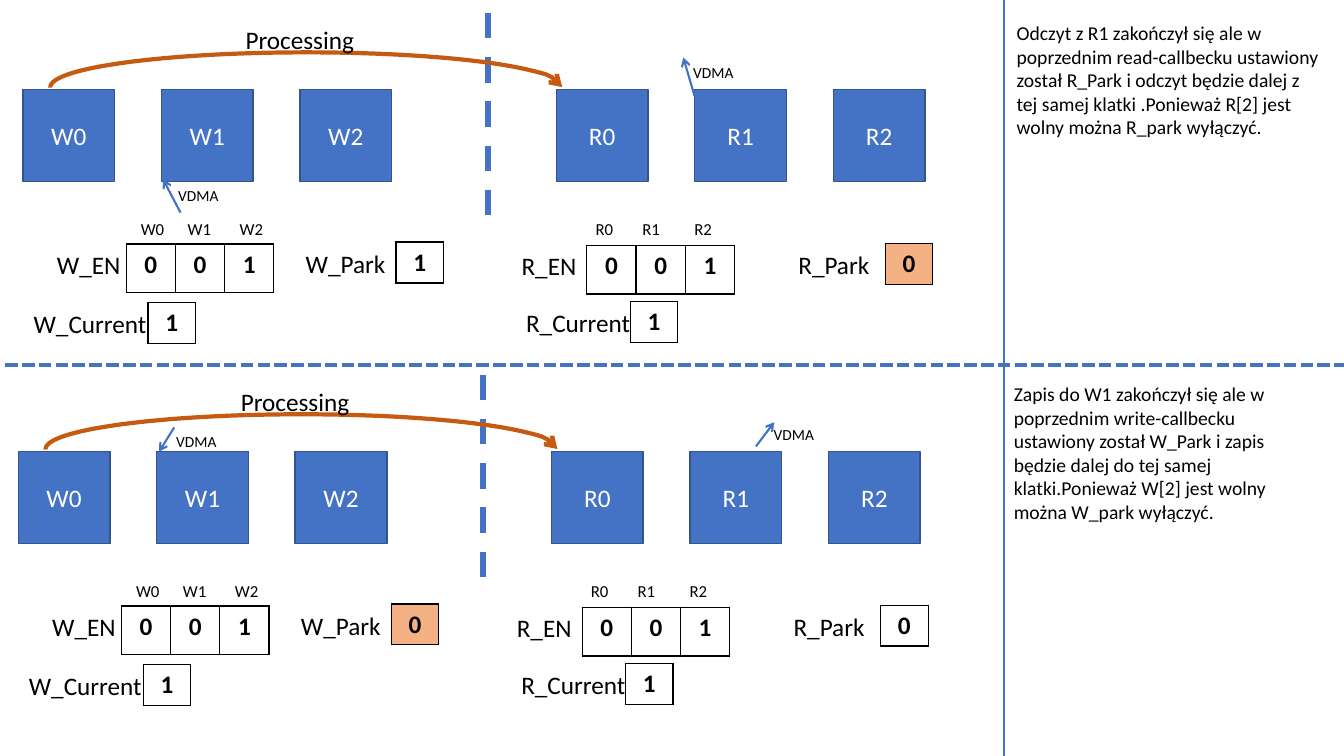
from pptx import Presentation, util as u
from pptx.dml import color
from pptx.enum import dml, shapes, text
from pptx.oxml import ns
from lxml import etree

Cm, Pt = u.Cm, u.Pt
COLORS = {"blue": "4472C4", "edge": "325491", "brown": "C55A11",
          "orange": "F4B183", "white": "FFFFFF", "black": "000000"}

# Content: buffers as (name, left of first square, left of first bit label)
SIDES = [("W", 0.58, 3.3), ("R", 14.02, 14.76)]
BIT_OFFSETS = (0, 1.18, 2.49)
# Registers: name, label left, top and width, cell left and top
REGISTERS = [
    ("W_EN", 1.17, 6.15, 2.13, 3.18, 6.15),
    ("R_EN", 12.88, 6.18, 1.91, 14.79, 6.18),
    ("W_Park", 7.44, 6.13, 2.54, 9.98, 6.1),
    ("R_Park", 19.86, 6.15, 2.31, 22.31, 6.13),
    ("W_Current", 0.58, 7.65, 3.38, 3.73, 7.62),
    ("R_Current", 12.98, 7.62, 3.18, 15.88, 7.6),
]
VALUES = {"W_EN": "001", "R_EN": "001", "W_Current": "1", "R_Current": "1"}
# VDMA marks: arrow start, arrow tip, label corner
PANELS = [
    {"shift": (0, 0), "parks": {"W_Park": "1", "R_Park": "0"}, "changed": "R_Park",
     "vdma": [((4.55, 5.36), (4.11, 4.52), (4.24, 4.57)),
              ((17.5, 2.41), (17.22, 1.45), (17.22, 1.47))],
     "note": ("Odczyt z R1 zakończył się ale w poprzednim read-callbecku ustawiony "
              "został R_Park i odczyt będzie dalej z tej samej klatki .Ponieważ R[2] "
              "jest wolny można R_park wyłączyć."),
     "note_box": (25.37, 0.41, 8.15, 3.25)},
    {"shift": (-0.12, 9.12), "parks": {"W_Park": "0", "R_Park": "0"}, "changed": "W_Park",
     "vdma": [((4.39, 10.77), (4.01, 11.38), (4.19, 10.77)),
              ((19.05, 11.25), (19.51, 10.64), (19.25, 10.59))],
     "note": ("Zapis do W1 zakończył się ale w poprzednim write-callbecku ustawiony "
              "został W_Park i zapis będzie dalej do tej samej klatki.Ponieważ W[2] "
              "jest wolny można W_park wyłączyć."),
     "note_box": (25.3, 9.5, 8.15, 3.84)},
]

deck = Presentation()
deck.slide_width, deck.slide_height = Cm(33.87), Cm(19.05)
page = deck.slides.add_slide(deck.slide_layouts[6])


def rgb(name):
    return color.RGBColor.from_string(COLORS[name])


def write(frame, words, size=18, ink="black", bold=False, center=False):
    para = frame.paragraphs[0]
    para.alignment = text.PP_ALIGN.CENTER if center else text.PP_ALIGN.LEFT
    span = para.add_run()
    span.text = words
    span.font.name, span.font.size = "Calibri", Pt(size)
    span.font.bold, span.font.color.rgb = bold, rgb(ink)


def label(words, left, top, width, height=1.03, wrap=False, **style):
    box = page.shapes.add_textbox(Cm(left), Cm(top), Cm(width), Cm(height))
    box.text_frame.word_wrap = wrap
    box.text_frame.auto_size = text.MSO_AUTO_SIZE.SHAPE_TO_FIT_TEXT
    write(box.text_frame, words, **style)


def stroke(shape, ink, width, dash=None, arrow=False):
    shape.line.color.rgb, shape.line.width = rgb(ink), Pt(width)
    if dash:
        shape.line.dash_style = dash
    if arrow:
        outline = shape.element.spPr.find(ns.qn("a:ln"))
        etree.SubElement(outline, ns.qn("a:tailEnd"), type="arrow")


def connect(start, end, width, **style):
    line = page.shapes.add_connector(shapes.MSO_CONNECTOR.STRAIGHT,
                                     *[Cm(v) for v in (*start, *end)])
    stroke(line, "blue", width, **style)
    etree.SubElement(line.element.spPr, ns.qn("a:effectLst"))


def register(bits, left, top, fill):
    width, height = (1.24, 1.23) if len(bits) > 1 else (1.2, 1.03)
    table = page.shapes.add_table(1, len(bits), Cm(left), Cm(top),
                                  Cm(width * len(bits)), Cm(height)).table
    table.first_row = table.horz_banding = False
    for column, bit in enumerate(bits):
        table.columns[column].width = Cm(width)
        cell = table.cell(0, column)
        write(cell.text_frame, bit, bold=True, center=True)
        properties = cell._tc.get_or_add_tcPr()
        for side in ("lnL", "lnR", "lnT", "lnB"):
            border = etree.SubElement(properties, ns.qn("a:" + side), w=str(Pt(1)))
            paint = etree.SubElement(border, ns.qn("a:solidFill"))
            etree.SubElement(paint, ns.qn("a:srgbClr"), val=COLORS["black"])
        cell.fill.solid()
        cell.fill.fore_color.rgb = rgb(fill)


def draw_panel(panel):
    dx, dy = panel["shift"]
    connect((12.29 + dx, 0.33 + dy), (12.29 + dx, 5.51 + dy), 4.5, dash=dml.MSO_LINE.DASH)

    # Frame buffers and their bit labels
    for side, first_square, first_bit in SIDES:
        for index, offset in enumerate(BIT_OFFSETS):
            name = f"{side}{index}"
            square = page.shapes.add_shape(
                shapes.MSO_SHAPE.RECTANGLE, Cm(first_square + 3.49 * index + dx),
                Cm(2.26 + dy), Cm(2.31), Cm(2.31))
            square.shadow.inherit = False
            square.fill.solid()
            square.fill.fore_color.rgb = rgb("blue")
            stroke(square, "edge", 1)
            square.text_frame.vertical_anchor = text.MSO_ANCHOR.MIDDLE
            write(square.text_frame, name, ink="white", center=True)
            label(name, first_bit + offset + dx, 5.38 + dy, 1.4, 0.77, wrap=True, size=12)

    # Registers
    values = VALUES | panel["parks"]
    for name, left, top, width, cell_left, cell_top in REGISTERS:
        label(name, left + dx, top + dy, width, center=True)
        register(values[name], cell_left + dx, cell_top + dy,
                 "orange" if name == panel["changed"] else "white")

    # VDMA marks and explanation
    for start, tip, corner in panel["vdma"]:
        connect(start, tip, 1.5, arrow=True)
        label("VDMA", *corner, 1.55, 0.73, size=11)
    label(panel["note"], *panel["note_box"], wrap=True, size=14)

    # Processing arc
    arc = page.shapes.add_shape(shapes.MSO_SHAPE.ARC, Cm(1.27 + dx), Cm(1.32 + dy),
                                Cm(12.9), Cm(1.75))
    arc.adjustments[0], arc.adjustments[1] = 107.93, 0
    arc.shadow.inherit = False
    arc.fill.background()
    stroke(arc, "brown", 3, arrow=True)
    label("Processing", 5.94 + dx, 0.48 + dy, 3.28)


# Page dividers, then both panels
connect((25.3, 0), (25.3, 19.05), 1.5)
connect((0.13, 9.2), (33.98, 9.2), 3, dash=dml.MSO_LINE.SQUARE_DOT)
for panel in PANELS:
    draw_panel(panel)

deck.save("out.pptx")
